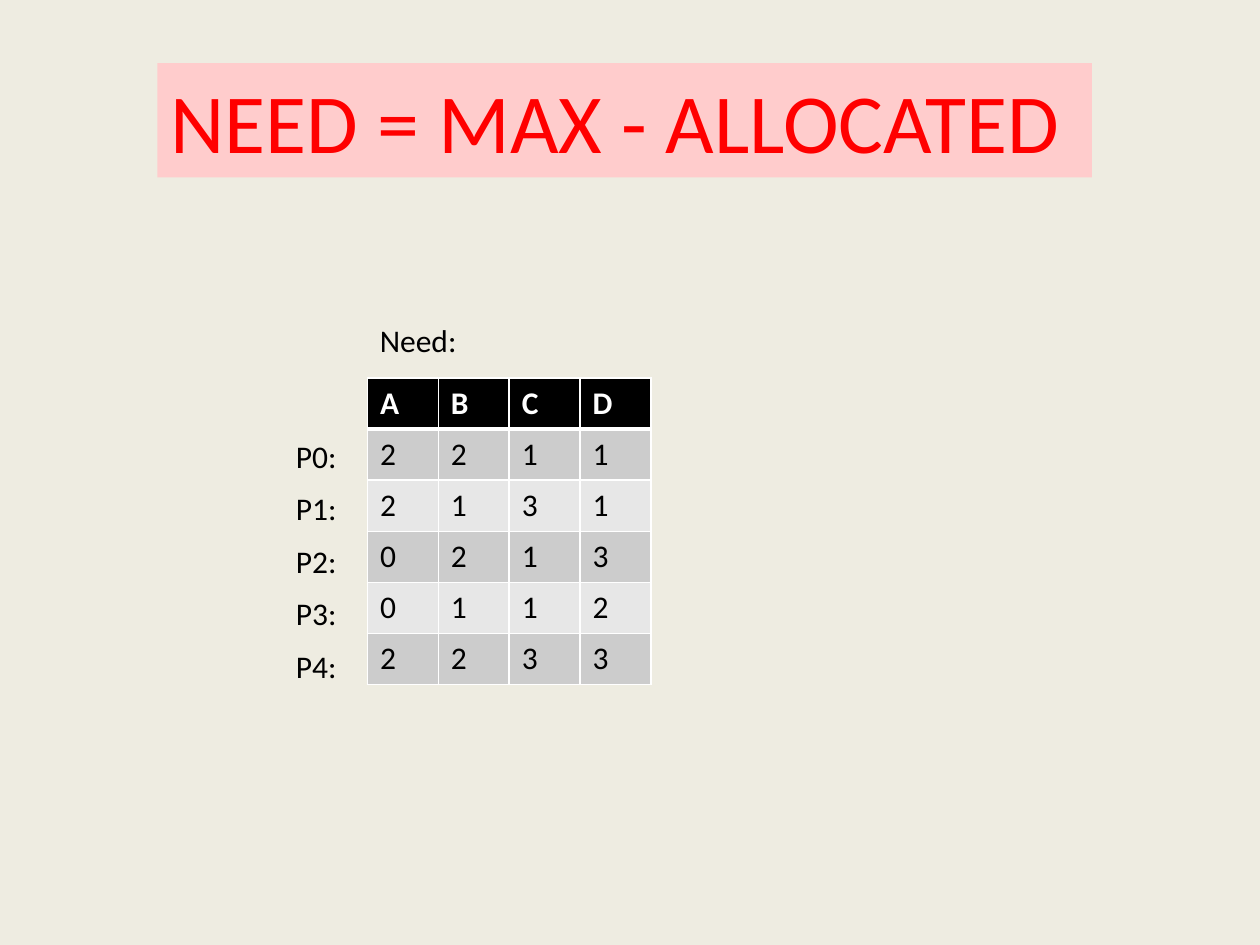
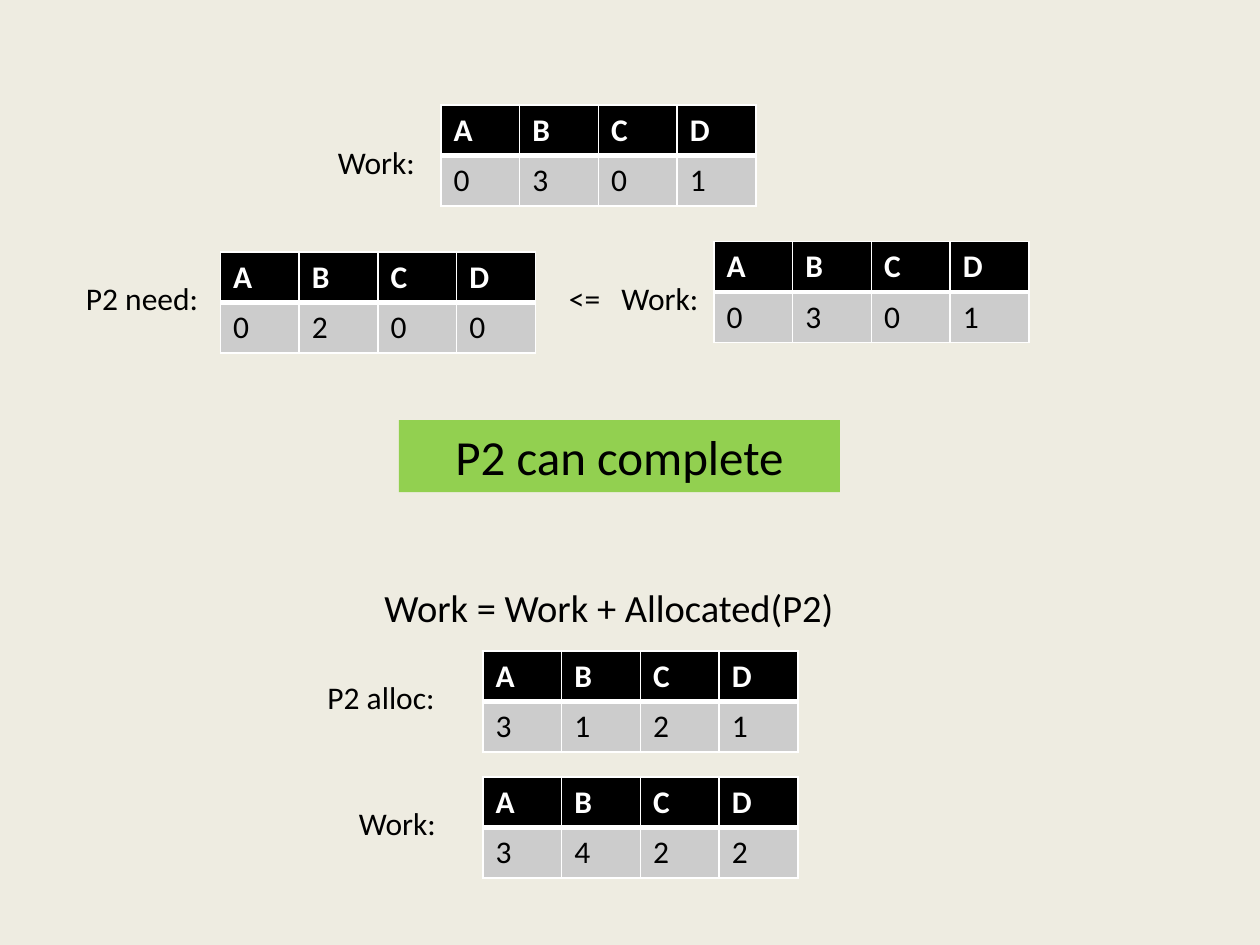
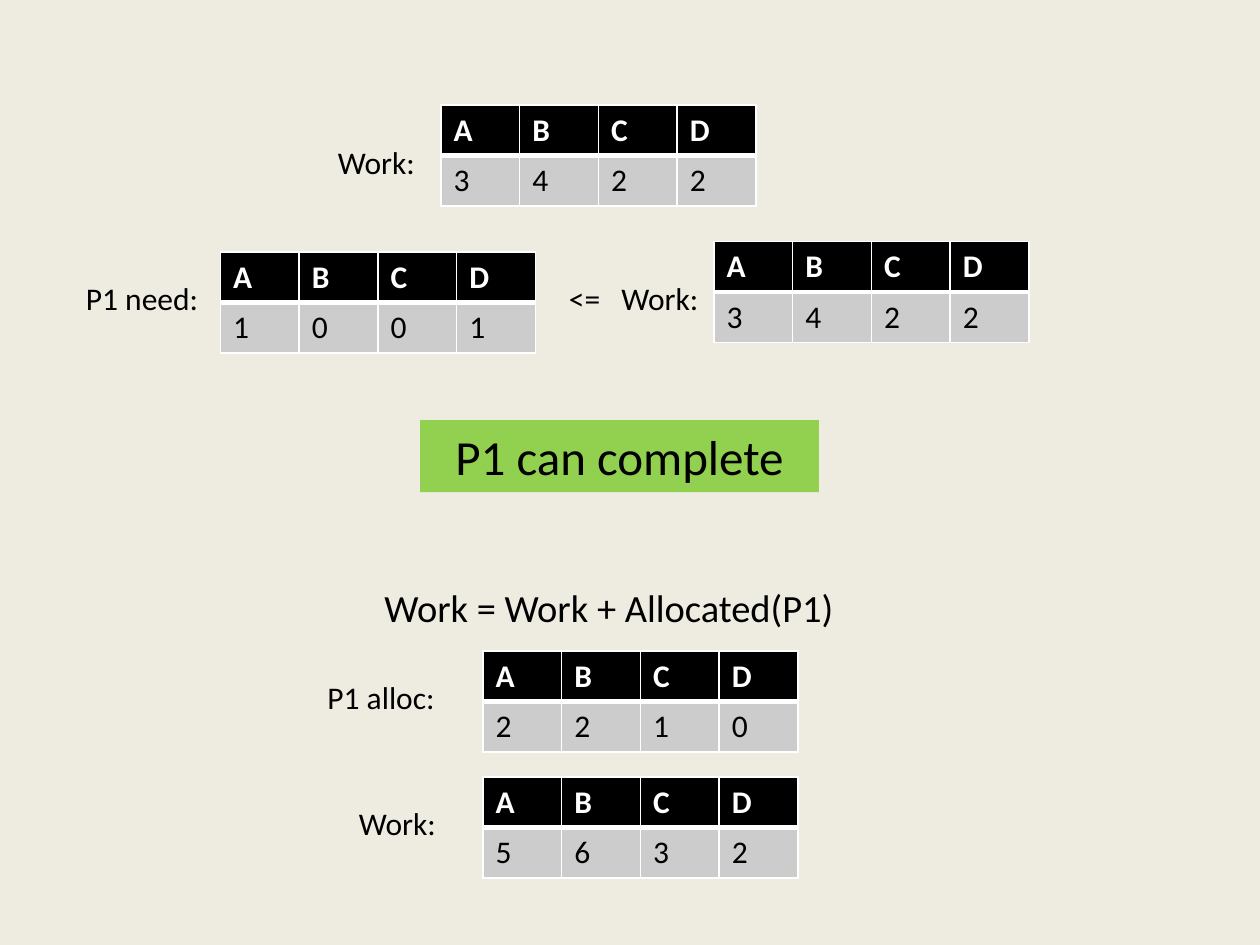
import lxml.etree
import pptx
import pptx.dml.color
import pptx.enum.shapes
import pptx.enum.text
import pptx.oxml.ns
import pptx.util

Pt = pptx.util.Pt
RGB = pptx.dml.color.RGBColor
ALIGN = pptx.enum.text.PP_ALIGN

CREAM = RGB(0xEE, 0xEC, 0xE1)
BLACK = RGB(0, 0, 0)
WHITE = RGB(0xFF, 0xFF, 0xFF)
RED = RGB(0xFF, 0, 0)
PINK = RGB(0xFF, 0xCC, 0xCC)
GREEN = RGB(0x92, 0xD0, 0x50)
DARK = RGB(0xCC, 0xCC, 0xCC)
LIGHT = RGB(0xE7, 0xE7, 0xE7)
FONT = "Calibri"
HEADS = "ABCD"


def write(frame, text, size=18, color=BLACK, bold=False, align=ALIGN.LEFT):
    para = frame.paragraphs[0]
    para.alignment = align
    run = para.add_run()
    run.text = text
    run.font.name = FONT
    run.font.size = Pt(size)
    run.font.bold = bold
    run.font.color.rgb = color


def edge(cell, side, width):
    name = pptx.oxml.ns.qn
    props = cell._tc.get_or_add_tcPr()
    line = lxml.etree.SubElement(props, name(f"a:ln{side}"), w=str(Pt(width)))
    fill = lxml.etree.SubElement(line, name("a:solidFill"))
    lxml.etree.SubElement(fill, name("a:srgbClr"), val=str(WHITE))


class Deck:
    def __init__(self):
        self.show = pptx.Presentation()
        self.show.slide_width = Pt(720)
        self.show.slide_height = Pt(540)

    def page(self):
        self.slide = self.show.slides.add_slide(self.show.slide_layouts[6])
        fill = self.slide.background.fill
        fill.solid()
        fill.fore_color.rgb = CREAM

    def label(self, text, left, top, width, height=29, **style):
        box = self.slide.shapes.add_textbox(Pt(left), Pt(top), Pt(width), Pt(height))
        box.text_frame.word_wrap = True
        write(box.text_frame, text, **style)

    def banner(self, text, left, top, width, height, fill, **style):
        box = self.slide.shapes.add_shape(
            pptx.enum.shapes.MSO_SHAPE.RECTANGLE,
            Pt(left), Pt(top), Pt(width), Pt(height))
        box.shadow.inherit = False
        box.fill.solid()
        box.fill.fore_color.rgb = fill
        box.line.fill.background()
        write(box.text_frame, text, align=ALIGN.CENTER, **style)

    def table(self, left, top, rows, width=180, tall=28.8):
        grid = [HEADS, *rows]
        table = self.slide.shapes.add_table(
            len(grid), len(HEADS), Pt(left), Pt(top),
            Pt(width), Pt(tall * len(grid))).table
        for col in table.columns:
            col.width = Pt(width / len(HEADS))
        for r, row in enumerate(grid):
            table.rows[r].height = Pt(tall)
            head = r == 0
            for c, value in enumerate(row):
                cell = table.cell(r, c)
                for side in "LRTB":
                    thick = (r, side) in ((0, "B"), (1, "T"))
                    edge(cell, side, 3 if thick else 1)
                cell.fill.solid()
                cell.fill.fore_color.rgb = BLACK if head else DARK if r % 2 else LIGHT
                write(cell.text_frame, str(value), bold=head,
                      color=WHITE if head else BLACK)


def need(deck):
    deck.page()
    deck.label("Need:", 210, 180, 96)
    rows = ["2211", "2131", "0213", "0112", "2233"]
    deck.table(210, 216, rows, width=162, tall=29.2)
    deck.banner("NEED = MAX - ALLOCATED ", 90, 36, 534, 65.4, PINK,
                size=48, color=RED)
    for i in range(len(rows)):
        deck.label(f"P{i}:", 162, 246 + 30 * i, 42)


def step(deck, name, work, want, alloc, width):
    deck.page()
    total = [a + b for a, b in zip(work, alloc)]
    deck.label("Work:", 186, 78, 60)
    deck.table(252, 60, [work])
    deck.label(f"{name} need:", 42, 156, 84)
    deck.table(126, 144, [want])
    deck.label("<=", 318, 156, 36)
    deck.label("Work:", 348, 156, 60)
    deck.table(408, 138, [work])
    deck.banner(f"{name} can complete", 354 - width / 2, 240, width, 41.2, GREEN,
                size=28)
    deck.label(f"Work = Work + Allocated({name})", 192, 330, 312, 34,
               size=22, align=ALIGN.CENTER)
    deck.label(f"{name} alloc:", 180, 384, 84)
    deck.table(276, 372, [alloc])
    deck.label("Work:", 198, 456, 60)
    deck.table(276, 444, [total])
    return total


def main():
    deck = Deck()
    need(deck)
    work = step(deck, "P2", [0, 3, 0, 1], [0, 2, 0, 0], [3, 1, 2, 1], 252)
    step(deck, "P1", work, [1, 0, 0, 1], [2, 2, 1, 0], 228)
    deck.show.save("out.pptx")


if __name__ == "__main__":
    main()
